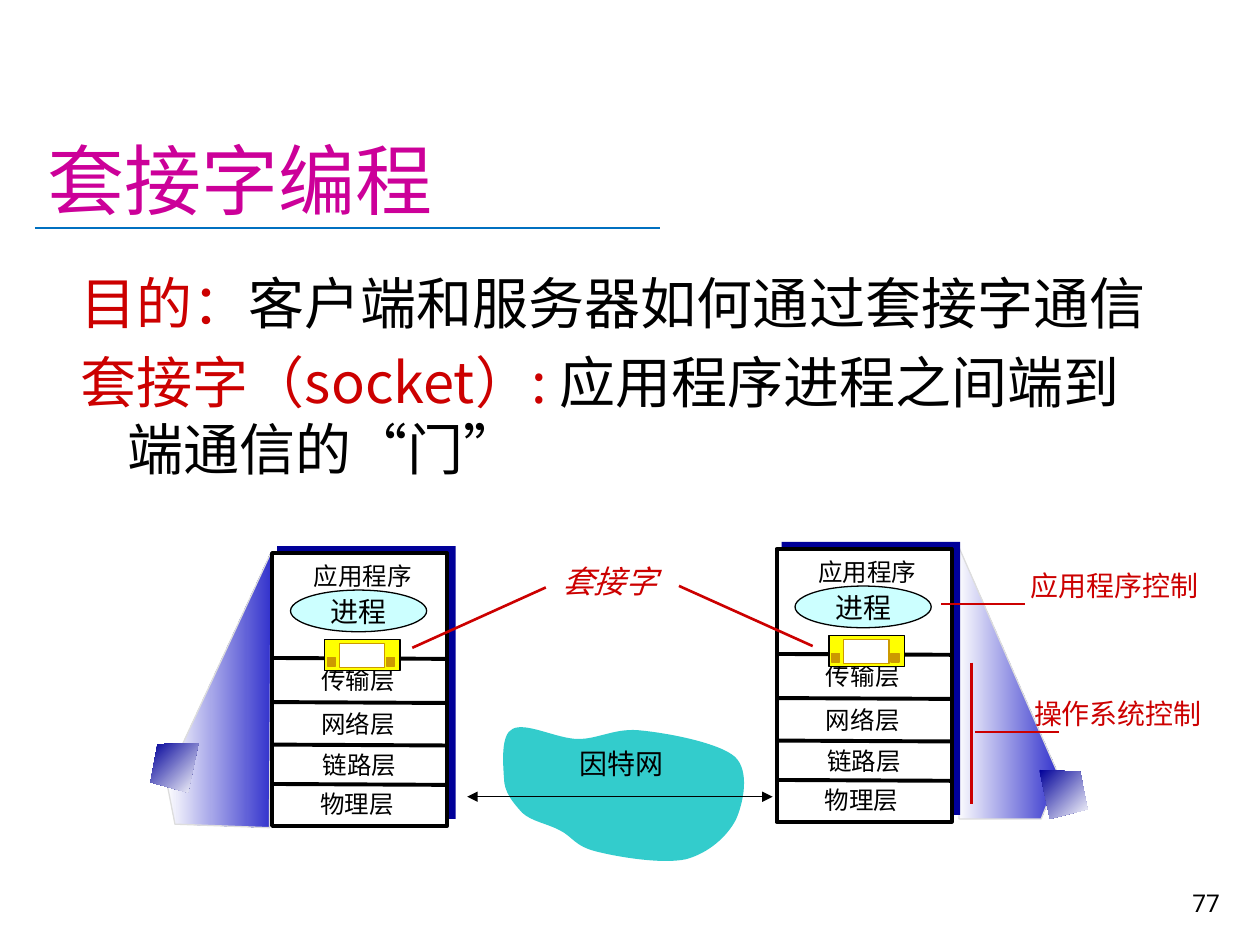
import pptx
import pptx.dml.color
import pptx.enum.dml
import pptx.enum.shapes
import pptx.enum.text
import pptx.oxml
import pptx.oxml.ns
import pptx.util

Pt = pptx.util.Pt
RGBColor = pptx.dml.color.RGBColor
Shape = pptx.enum.shapes.MSO_SHAPE
Align = pptx.enum.text.PP_ALIGN
Anchor = pptx.enum.text.MSO_ANCHOR

BLACK = RGBColor(0x00, 0x00, 0x00)
WHITE = RGBColor(0xFF, 0xFF, 0xFF)
RED = RGBColor(0xCC, 0x00, 0x00)
MAGENTA = RGBColor(0xCC, 0x00, 0x99)
RULE_BLUE = RGBColor(0x00, 0x70, 0xC0)
NAVY = RGBColor(0x00, 0x00, 0x99)
INDIGO = RGBColor(0x33, 0x33, 0xCC)
TEAL = RGBColor(0x33, 0xCC, 0xCC)
PALE_CYAN = RGBColor(0xCC, 0xFF, 0xFF)
YELLOW = RGBColor(0xFF, 0xFF, 0x00)
GOLD = RGBColor(0xCC, 0x99, 0x00)
GREY = RGBColor(0xDD, 0xDD, 0xDD)

SANS, BODY, SERIF = "Roboto", "Noto Sans CJK SC", "Times New Roman"


def add_span(para, text, font, size, color, italic=None):
    span = para.add_run()
    span.text = text
    span.font.name = font
    span.font.size = Pt(size)
    span.font.color.rgb = color
    span.font.italic = italic


def add_label(page, box, text, font, size, color, align=None, spacing=None,
              wrap=True, grow=True, anchor=Anchor.TOP, italic=None):
    label = page.shapes.add_textbox(*map(Pt, box))
    frame = label.text_frame
    frame.word_wrap = wrap
    frame.vertical_anchor = anchor
    if grow:
        frame.auto_size = pptx.enum.text.MSO_AUTO_SIZE.SHAPE_TO_FIT_TEXT
    para = frame.paragraphs[0]
    para.alignment = align
    para.line_spacing = spacing
    add_span(para, text, font, size, color, italic)


def set_outline(shape, color, width):
    shape.shadow.inherit = False
    if color is None:
        shape.line.fill.background()
    else:
        shape.line.color.rgb = color
        shape.line.width = Pt(width)


def add_block(shapes, kind, box, fill, line=None, width=0.75):
    block = shapes.add_shape(kind, *map(Pt, box))
    block.fill.solid()
    block.fill.fore_color.rgb = fill
    set_outline(block, line, width)
    return block


def add_line(page, start, end, color, width, arrows=False):
    line = page.shapes.add_connector(
        pptx.enum.shapes.MSO_CONNECTOR.STRAIGHT, *map(Pt, start + end))
    line.line.color.rgb = color
    line.line.width = Pt(width)
    properties = line._element.spPr
    if arrows:
        outline = line.line._get_or_add_ln()
        for tag in ("a:headEnd", "a:tailEnd"):
            arrow = pptx.oxml.parse_xml(f"<{tag} {pptx.oxml.ns.nsdecls('a')}/>")
            arrow.set("type", "triangle")
            outline.append(arrow)
    properties.append(pptx.oxml.parse_xml(f"<a:effectLst {pptx.oxml.ns.nsdecls('a')}/>"))


def add_outline(page, points, line=None):
    builder = page.shapes.build_freeform(*map(Pt, points[0]))
    builder.add_line_segments([tuple(map(Pt, point)) for point in points[1:]], close=True)
    outline = builder.convert_to_shape()
    set_outline(outline, line, 0.75)
    return outline


def bend_outline(outline):
    """Turn every three straight segments into one cubic curve."""
    name = pptx.oxml.ns.qn
    segments = list(outline._element.iter(name("a:lnTo")))
    for index in range(0, len(segments), 3):
        curve = pptx.oxml.parse_xml(f"<a:cubicBezTo {pptx.oxml.ns.nsdecls('a')}/>")
        segments[index].addprevious(curve)
        for segment in segments[index:index + 3]:
            curve.append(segment.find(name("a:pt")))
            segment.getparent().remove(segment)


def add_gradient(page, points, first, last, angle, line=None):
    outline = add_outline(page, points, line)
    outline.fill.gradient()
    outline.fill.gradient_angle = angle
    for stop, color in zip(outline.fill.gradient_stops, (first, last)):
        stop.color.rgb = color


def add_heading(page, left, top, width, height):
    add_line(page, (20, 130.3), (377, 130.3), RULE_BLUE, 1.25)
    add_label(page, (left, top, width, height), "套接字编程", SANS, 44, MAGENTA,
              grow=False, anchor=Anchor.BOTTOM)


def add_definitions(page, left, top, width, height):
    box = page.shapes.add_textbox(*map(Pt, (left, top, width, height)))
    frame = box.text_frame
    frame.word_wrap = True
    entries = (("目的：", "客户端和服务器如何通过套接字通信"),
               ("套接字（socket）: ", "应用程序进程之间端到端通信的“门”"))
    for index, (term, meaning) in enumerate(entries):
        para = frame.add_paragraph() if index else frame.paragraphs[0]
        if index:
            para.space_before = Pt(6.6)
        indent = para._p.get_or_add_pPr()
        indent.set("marL", str(Pt(27)))
        indent.set("indent", str(Pt(-27)))
        add_span(para, term, BODY, 32, RED)
        add_span(para, meaning, BODY, 32, BLACK)


def add_internet(page, left, top):
    # Start, then two control points and an end point for each curve
    points = (
        (2, 32),
        (1.5, 24), (0, 7), (7, 4), (14.5, 0), (32, 9.5), (44, 9.8),
        (56, 10), (66, 3), (81, 5), (96, 6.5), (125, 12), (134, 20),
        (142.5, 28), (139, 46), (134.5, 56), (129.5, 65.5), (119, 75), (106, 78.5),
        (92, 81.5), (66, 77), (54.5, 74), (42.5, 71), (41, 65.5), (34, 62),
        (26.5, 58), (18, 57), (12.5, 52), (7, 46), (2, 40), (2, 32))
    cloud = add_outline(page, [(left + x, top + y) for x, y in points])
    bend_outline(cloud)
    cloud.fill.solid()
    cloud.fill.fore_color.rgb = TEAL
    add_label(page, (left + 37.5, top + 10.3, 63.4, 26.6), "因特网", SERIF, 16, BLACK,
              Align.CENTER, wrap=False)
    add_line(page, (left - 19, top + 42.8), (left + 155.5, top + 42.8), BLACK, 0.75, True)


def add_socket(page, left, top):
    shapes = page.shapes.add_group_shape().shapes
    add_block(shapes, Shape.RECTANGLE, (left, top, 43.2, 17.8), YELLOW, BLACK)
    add_block(shapes, Shape.RECTANGLE, (left + 8.4, top + 2.4, 26, 13.7), WHITE, GOLD)
    for offset in (35.5, 1.6):
        add_block(shapes, Shape.RECTANGLE, (left + offset, top + 10.4, 4.6, 5), GOLD, GOLD)


def add_host(page, left, top, width=100, height=156):
    # Backing panel and protocol stack
    add_block(page.shapes, Shape.RECTANGLE, (left + 2.9, top - 4, width + 2, height), NAVY)
    add_block(page.shapes, Shape.RECTANGLE, (left, top, width, height), WHITE, BLACK, 2.25)
    add_label(page, (left, top - 0.5, 103.7, 24), "应用程序", SANS, 14, BLACK,
              Align.CENTER, 1.1)
    # Name, divider offset, label offsets
    layers = (("传输层", 60, -2.6, 58.6), ("网络层", 85.2, -2.6, 84.2),
              ("链路层", 109.5, -1.9, 107.5), ("物理层", 132, -3.4, 129.7))
    for name, divider, shift, drop in layers:
        add_line(page, (left + 0.8, top + divider), (left + width, top + divider + 0.5),
                 BLACK, 2.25)
        add_label(page, (left + shift, top + drop, 103.7, 24), name, SANS, 14, BLACK,
                  Align.CENTER, 1.1)
    # Process and its socket
    process = add_block(page.shapes, Shape.OVAL, (left + 10.5, top + 21.2, 77.8, 23.8),
                        PALE_CYAN, BLACK)
    process.text_frame.word_wrap = False
    process.text_frame.vertical_anchor = Anchor.MIDDLE
    para = process.text_frame.paragraphs[0]
    para.alignment = Align.CENTER
    add_span(para, "进程", SERIF, 16, BLACK)
    add_socket(page, left + 29.9, top + 49.3)


def add_callouts(page):
    for start, end in (((585.5, 345.2), (538, 345.2)), ((555.3, 378.7), (555.3, 459.4)),
                       ((605.3, 418.2), (557.2, 418.2)), ((235.6, 370.2), (311.9, 335.7)),
                       ((464.4, 369.2), (388, 334.8))):
        add_line(page, start, end, RED, 1.5)
    add_label(page, (583.8, 394.6, 111.6, 26.6), "操作系统控制", SERIF, 16, RED, wrap=False)
    add_label(page, (582, 323.3, 111.6, 24.5), "应用程序控制", SERIF, 16, RED,
              spacing=0.9, wrap=False)
    add_label(page, (314.2, 320.2, 69, 26.6), "套接字", SERIF, 18, RED,
              spacing=0.9, wrap=False, italic=True)


def main():
    deck = pptx.Presentation()
    deck.slide_width, deck.slide_height = Pt(720), Pt(540)
    page = deck.slides.add_slide(deck.slide_layouts[6])

    add_heading(page, 19.8, 16.6, 684.7, 115.2)
    add_label(page, (554.4, 491.8, 149.8, 36), "77", SANS, 14, BLACK, Align.RIGHT,
              grow=False, anchor=Anchor.BOTTOM)
    add_definitions(page, 39, 149.9, 631.4, 121)

    # Beams from the computers to the stacks
    for points in ([(605, 443), (547, 310.5), (548, 468), (595, 468)],
                   [(95, 445.5), (155, 315.5), (154, 473), (100, 471)]):
        add_gradient(page, points, WHITE, INDIGO, 0, GREY)
    add_internet(page, 286, 412.5)
    add_host(page, 155.5, 316)
    add_host(page, 443.8, 313.7)
    add_callouts(page)

    # Computers
    for points in ([(113.5, 424.6), (90, 425.3), (86, 447), (107.5, 453)],
                   [(594, 440), (617.3, 441), (621.5, 462.5), (600, 468)]):
        add_gradient(page, points, NAVY, WHITE, 315)

    deck.save("out.pptx")


if __name__ == "__main__":
    main()
